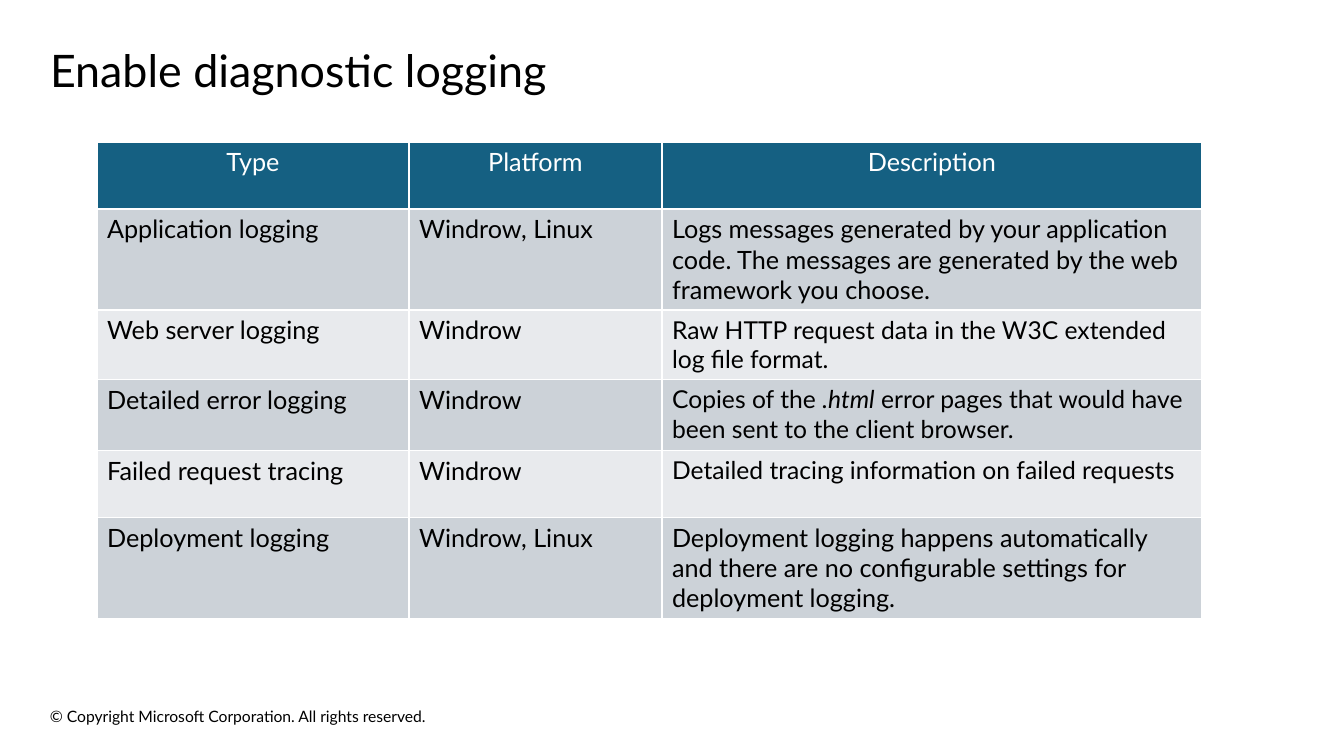
from pptx import Presentation
from pptx.dml.color import RGBColor
from pptx.enum.text import MSO_ANCHOR, MSO_AUTO_SIZE, PP_ALIGN
from pptx.util import Emu, Pt

PX = 914400 / 100.8
FONT = "Lato"
COLORS = {"text": "000000", "header": "156082", "header_text": "FFFFFF",
          "odd": "CCD2D8", "even": "E8EAED"}
COLUMN_WIDTHS = [312, 253, 540]
ROW_HEIGHTS = [67, 101, 69, 71, 67, 101]
HEADINGS = ["Type", "Platform", "Description"]
# Each row: type, platform, description runs, description size
LOGS = [
    ("Application logging", "Windrow, Linux",
     ["Logs messages generated by your application code. "
      "The messages are generated by the web framework you choose."], 18),
    ("Web server logging", "Windrow",
     ["Raw HTTP request data in the W3C extended log file format."], 17.6),
    ("Detailed error logging", "Windrow",
     ["Copies of the ", ".html",
      " error pages that would have been sent to the client browser."], 17.6),
    ("Failed request tracing", "Windrow",
     ["Detailed tracing information on failed requests"], 17.6),
    ("Deployment logging", "Windrow, Linux",
     ["Deployment logging happens automatically and there are no "
      "configurable settings for deployment logging."], 18),
]


def px(n):
    return Emu(round(n * PX))


def rgb(name):
    return RGBColor.from_string(COLORS[name])


def add_run(p, text, size, color="text", italic=False):
    r = p.add_run()
    r.text = text
    r.font.name = FONT
    r.font.size = Pt(size)
    r.font.bold = False
    r.font.italic = italic
    r.font.color.rgb = rgb(color)


def clear_margins(tf):
    tf.margin_left = tf.margin_top = tf.margin_right = tf.margin_bottom = 0


def add_title(slide, x, y, w, h):
    sp = slide.shapes.title
    sp.left, sp.top, sp.width, sp.height = map(px, (x, y, w, h))
    tf = sp.text_frame
    clear_margins(tf)
    tf.auto_size = MSO_AUTO_SIZE.NONE
    tf.vertical_anchor = MSO_ANCHOR.MIDDLE
    p = tf.paragraphs[0]
    p.alignment = PP_ALIGN.LEFT
    p.line_spacing = 0.9
    add_run(p, "Enable diagnostic logging", 32)


def fill_cell(cell, texts, size, fill, color="text", align=PP_ALIGN.LEFT):
    """Write the runs into a cell; file extensions are set in italics."""
    cell.fill.solid()
    cell.fill.fore_color.rgb = rgb(fill)
    p = cell.text_frame.paragraphs[0]
    p.alignment = align
    for text in texts:
        add_run(p, text, size, color, italic=text.startswith("."))


def add_log_table(slide, x, y):
    frame = slide.shapes.add_table(
        len(ROW_HEIGHTS), len(COLUMN_WIDTHS), px(x), px(y),
        px(sum(COLUMN_WIDTHS)), px(sum(ROW_HEIGHTS)))
    table = frame.table
    for column, width in zip(table.columns, COLUMN_WIDTHS):
        column.width = px(width)
    for row, height in zip(table.rows, ROW_HEIGHTS):
        row.height = px(height)
    for c, heading in enumerate(HEADINGS):
        fill_cell(table.cell(0, c), [heading], 18, "header", "header_text",
                  PP_ALIGN.CENTER)
    for i, (kind, platform, description, size) in enumerate(LOGS, 1):
        fill = "odd" if i % 2 else "even"
        fill_cell(table.cell(i, 0), [kind], 18, fill)
        fill_cell(table.cell(i, 1), [platform], 18, fill)
        fill_cell(table.cell(i, 2), description, size, fill)


def add_copyright(slide, x, y, w, h):
    tf = slide.shapes.add_textbox(px(x), px(y), px(w), px(h)).text_frame
    clear_margins(tf)
    tf.word_wrap = True
    tf.auto_size = MSO_AUTO_SIZE.SHAPE_TO_FIT_TEXT
    add_run(tf.paragraphs[0],
            "© Copyright Microsoft Corporation. All rights reserved.", 11.2)


def main():
    prs = Presentation()
    prs.slide_width, prs.slide_height = px(1344), px(756)
    slide = prs.slides.add_slide(prs.slide_layouts[5])
    add_copyright(slide, 50, 707, 409, 19)
    add_title(slide, 50, 45, 1237, 56)
    add_log_table(slide, 97, 142)
    prs.save("out.pptx")


if __name__ == "__main__":
    main()
